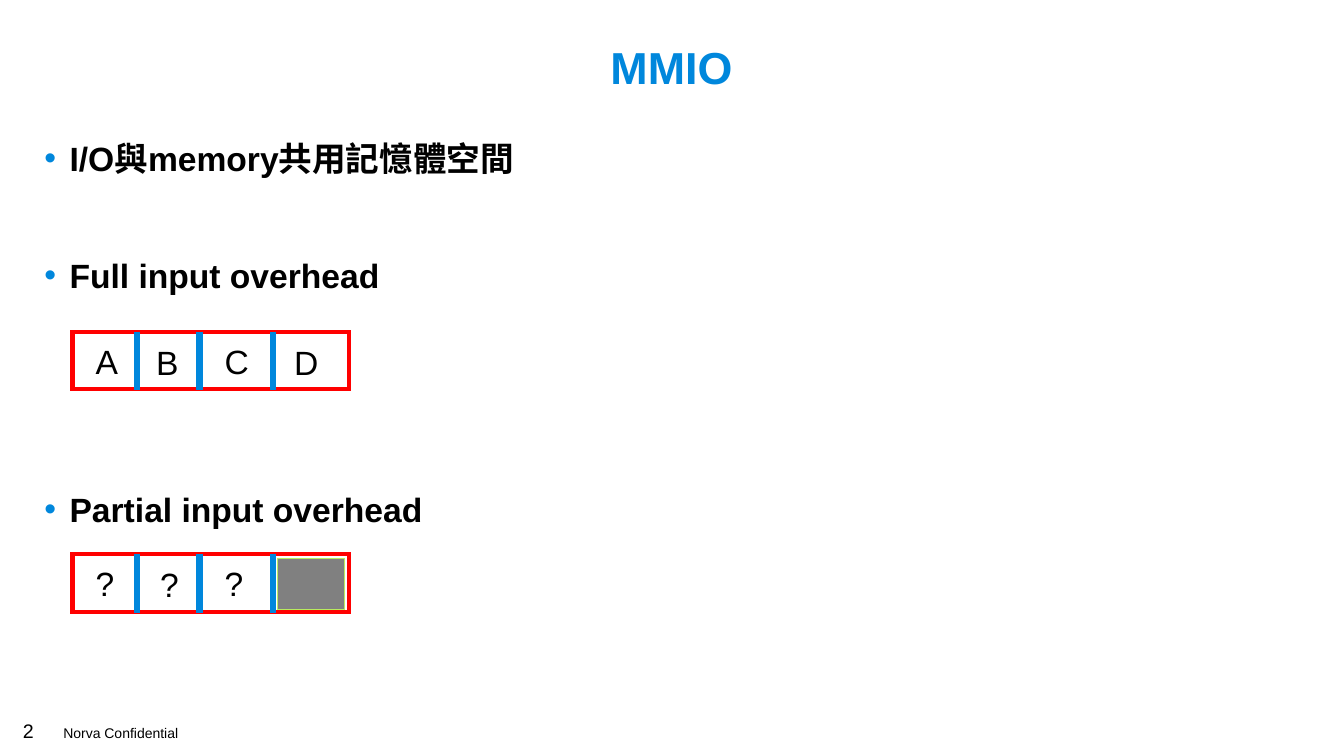
from lxml import etree
from pptx import Presentation
from pptx.dml.color import RGBColor
from pptx.enum.shapes import MSO_CONNECTOR as Line, MSO_SHAPE as Shape
from pptx.enum.text import MSO_ANCHOR as Anchor, MSO_AUTO_SIZE as AutoSize, PP_ALIGN as Align
from pptx.oxml.ns import qn
from pptx.util import Inches, Pt

BLUE = RGBColor(0x00, 0x87, 0xDC)
RED = RGBColor(0xFF, 0x00, 0x00)
BLACK = RGBColor(0x00, 0x00, 0x00)
GRAY = RGBColor(0x80, 0x80, 0x80)
LIME = RGBColor(0xB9, 0xEB, 0x5F)

TITLE_FONT = {"name": "Arial", "size": Pt(32), "bold": True}
BULLET_FONT = {"name": "Arial", "size": Pt(24), "bold": True}
LETTER_FONT = {"name": "Arial", "size": Pt(24)}
NUMBER_FONT = {"name": "Arial", "size": Pt(14)}
FOOTER_FONT = {"name": "Arial", "size": Pt(10)}
PLACEHOLDER_FRAME = {
    "margin_left": 0, "margin_right": 0,
    "margin_top": Inches(0.05), "margin_bottom": Inches(0.05),
    "vertical_anchor": Anchor.TOP, "auto_size": AutoSize.NONE, "word_wrap": True,
}

# Bullet text and the space before it, in points
BULLETS = [
    ("I/O與memory共用記憶體空間", 10),
    ("Full input overhead", 51.5),
    ("Partial input overhead", 135.5),
]
REGISTER_LEFT, REGISTER_WIDTH, REGISTER_HEIGHT = 0.72, 2.74, 0.57
DIVIDERS = (1.36, 1.98, 2.71)


def set_all(target, values):
    for name, value in values.items():
        setattr(target, name, value)


def add_run(p, text, font, color=BLACK):
    r = p.add_run()
    r.text = text
    set_all(r.font, font)
    r.font.color.rgb = color


def place(s, left, top, width, height):
    set_all(s, {"left": Inches(left), "top": Inches(top),
                "width": Inches(width), "height": Inches(height)})


def add_bullet(p):
    """Give the paragraph a hanging blue bullet."""
    ppr = p._p.get_or_add_pPr()
    ppr.set("marL", str(Inches(0.25)))
    ppr.set("indent", str(-Inches(0.25)))
    color = etree.SubElement(ppr, qn("a:buClr"))
    etree.SubElement(color, qn("a:srgbClr"), val=str(BLUE))
    etree.SubElement(ppr, qn("a:buFont"), typeface="Arial")
    etree.SubElement(ppr, qn("a:buChar"), char="•")


def fill_title(title):
    place(title, 0.44, 0.4, 12.44, 0.74)
    set_all(title.text_frame, PLACEHOLDER_FRAME)
    p = title.text_frame.paragraphs[0]
    set_all(p, {"alignment": Align.CENTER, "line_spacing": 0.9})
    add_run(p, "MMIO", TITLE_FONT, BLUE)


def fill_body(body):
    place(body, 0.44, 1.28, 12.44, 5.42)
    tf = body.text_frame
    set_all(tf, PLACEHOLDER_FRAME)
    for i, (text, gap) in enumerate(BULLETS):
        p = tf.add_paragraph() if i else tf.paragraphs[0]
        set_all(p, {"line_spacing": 1.1, "space_before": Pt(gap)})
        add_bullet(p)
        add_run(p, text, BULLET_FONT)


def add_text(shapes, text, left, top, width, height, font):
    s = shapes.add_textbox(Inches(left), Inches(top), Inches(width), Inches(height))
    s.text_frame.word_wrap = True
    add_run(s.text_frame.paragraphs[0], text, font)


def add_box(shapes, left, top, width, height, line_color, line_width, fill=None):
    s = shapes.add_shape(Shape.RECTANGLE, Inches(left), Inches(top),
                         Inches(width), Inches(height))
    s.shadow.inherit = False
    if fill is None:
        s.fill.background()
    else:
        s.fill.solid()
        s.fill.fore_color.rgb = fill
    s.line.color.rgb = line_color
    s.line.width = Pt(line_width)
    # Square corners
    etree.SubElement(s._element.spPr.find(qn("a:ln")), qn("a:miter"), lim="800000")


def add_divider(shapes, x, top):
    s = shapes.add_connector(Line.STRAIGHT, Inches(x), Inches(top),
                             Inches(x), Inches(top + 0.58))
    s.line.color.rgb = BLUE
    s.line.width = Pt(4.5)
    etree.SubElement(s._element.spPr, qn("a:effectLst"))


def add_register(shapes, top, letters):
    """Draw a four-cell register; letters holds (text, left) pairs."""
    add_box(shapes, REGISTER_LEFT, top, REGISTER_WIDTH, REGISTER_HEIGHT, RED, 3)
    for x in DIVIDERS:
        add_divider(shapes, x, top)
    for i, (text, left) in enumerate(letters):
        add_text(shapes, text, left, top + 0.04 + 0.01 * (i % 2), 0.5, 0.5, LETTER_FONT)


def main():
    prs = Presentation()
    prs.slide_width, prs.slide_height = Inches(13.33), Inches(7.5)
    slide = prs.slides.add_slide(prs.slide_layouts[1])
    shapes = slide.shapes

    fill_title(shapes.title)
    fill_body(slide.placeholders[1])
    add_register(shapes, 3.29, [("A", 0.85), ("B", 1.45), ("C", 2.13), ("D", 2.82)])
    add_register(shapes, 5.5, [("?", 0.85), ("?", 1.49), ("?", 2.13)])
    add_box(shapes, 2.75, 5.54, 0.67, 0.51, LIME, 1, GRAY)
    add_text(shapes, "2", 0.13, 7.08, 0.44, 0.34, NUMBER_FONT)
    add_text(shapes, "Norva Confidential", 0.53, 7.14, 1.6, 0.27, FOOTER_FONT)

    prs.save("out.pptx")


if __name__ == "__main__":
    main()
